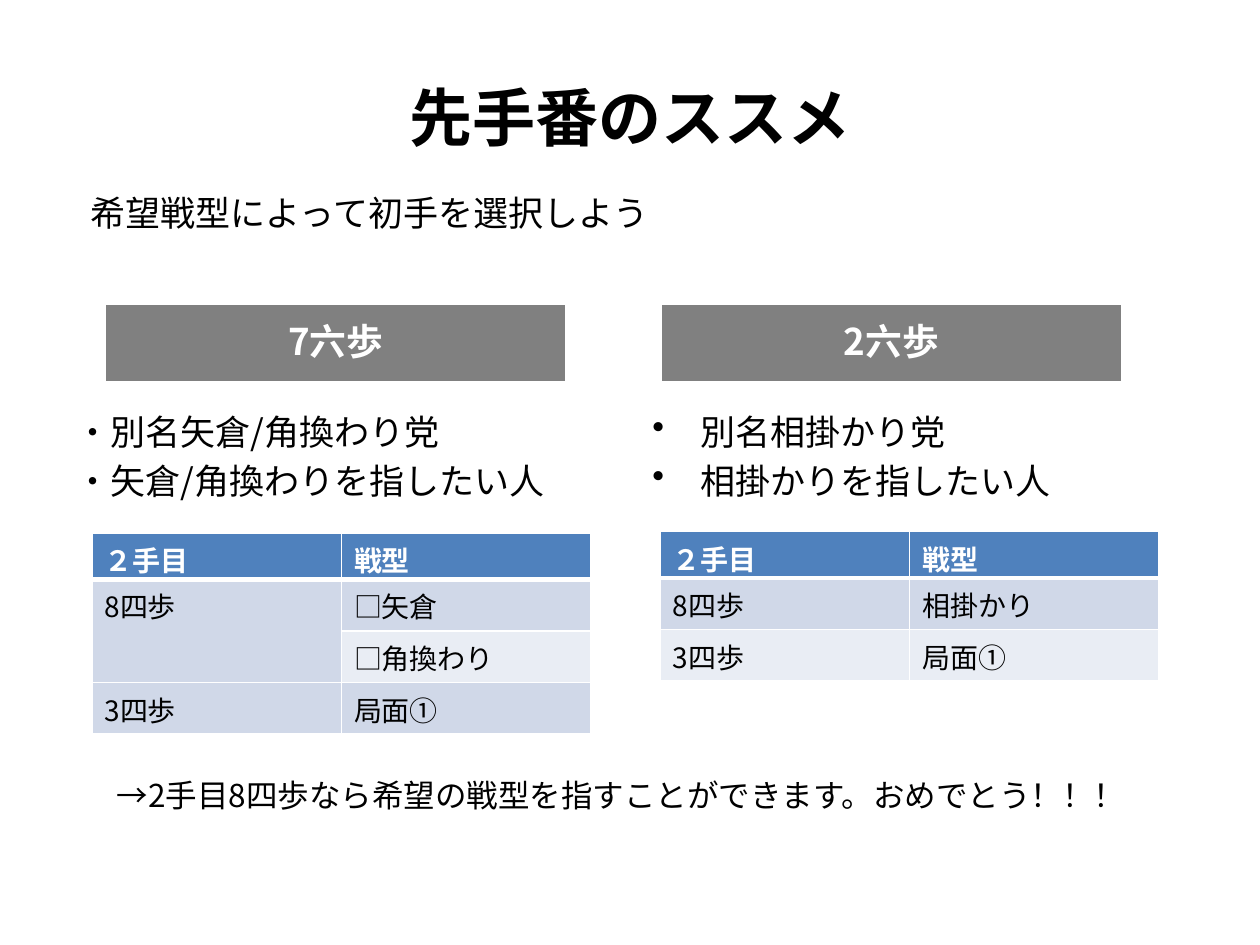
"""Build the slide on choosing an opening move for the first player."""
from lxml.etree import SubElement
from pptx import Presentation
from pptx.dml.color import RGBColor
from pptx.enum.shapes import MSO_SHAPE
from pptx.enum.text import MSO_ANCHOR, PP_ALIGN
from pptx.oxml.ns import qn
from pptx.util import Inches, Pt

FONT = "Noto Sans CJK JP"
COLORS = {
    "text": "000000",
    "white": "FFFFFF",
    "banner": "808080",
    "header": "4F81BD",
    "dark": "D0D8E8",
    "light": "E9EDF4",
}


def write(frame, lines, size, color="text", bold=False, align=PP_ALIGN.LEFT):
    frame.word_wrap = True
    for index, line in enumerate(lines):
        para = frame.add_paragraph() if index else frame.paragraphs[0]
        para.text = line
        para.alignment = align
        para.font.size = Pt(size)
        para.font.bold = bold
        para.font.name = FONT
        para.font.color.rgb = RGBColor.from_string(COLORS[color])
        for latin in para._p.iter(qn("a:latin")):
            SubElement(latin.getparent(), qn("a:ea"), typeface=FONT)


def border(cell, side, width):
    line = SubElement(cell._tc.get_or_add_tcPr(), qn(f"a:{side}"), w=str(Pt(width)))
    fill = SubElement(line, qn("a:solidFill"))
    SubElement(fill, qn("a:srgbClr"), val=COLORS["white"])


deck = Presentation()
deck.slide_width, deck.slide_height = Inches(10), Inches(7.5)
page = deck.slides.add_slide(deck.slide_layouts[5])

title = page.shapes.title
title.left, title.top = Inches(0.5), Inches(0.3)
title.width, title.height = Inches(9), Inches(1.25)
title.text_frame.vertical_anchor = MSO_ANCHOR.MIDDLE
write(title.text_frame, ["先手番のススメ"], 36, bold=True, align=PP_ALIGN.CENTER)

notes = [
    (0.62, 1.47, 8.32, 0.44, 20, "希望戦型によって初手を選択しよう"),
    (0.83, 6.11, 8.98, 0.4, 18,
     "→2手目8四歩なら希望の戦型を指すことができます。おめでとう！！！"),
]
for left, top, width, height, size, line in notes:
    box = page.shapes.add_textbox(Inches(left), Inches(top), Inches(width), Inches(height))
    write(box.text_frame, [line], size)

for left, line in [(0.83, "7六歩"), (5.24, "2六歩")]:
    banner = page.shapes.add_shape(
        MSO_SHAPE.RECTANGLE, Inches(left), Inches(2.41), Inches(3.67), Inches(0.63))
    banner.shadow.inherit = False
    banner.fill.solid()
    banner.fill.fore_color.rgb = RGBColor.from_string(COLORS["banner"])
    banner.line.color.rgb = RGBColor.from_string(COLORS["white"])
    banner.line.width = Pt(2)
    banner.text_frame.vertical_anchor = MSO_ANCHOR.MIDDLE
    write(banner.text_frame, ["7六歩" if left < 5 else line], 21, "white", True, PP_ALIGN.CENTER)
    banner.text_frame.paragraphs[0].line_spacing = 0.9
    banner.text_frame.paragraphs[0].space_after = Pt(7)

features = [
    (0.5, False, ["・別名矢倉/角換わり党", "・矢倉/角換わりを指したい人"]),
    (5.08, True, ["別名相掛かり党", "相掛かりを指したい人"]),
]
for left, bulleted, lines in features:
    box = page.shapes.add_textbox(Inches(left), Inches(3.21), Inches(4.42), Inches(0.9))
    write(box.text_frame, lines, 20)
    for para in box.text_frame.paragraphs:
        para.space_before = Pt(4)
        if bulleted:
            props = para._p.get_or_add_pPr()
            props.set("marL", str(Inches(0.38)))
            props.set("indent", str(Inches(-0.38)))
            bullet = props.makeelement(qn("a:buChar"), {"char": "•"})
            props.find(qn("a:defRPr")).addprevious(bullet)

HEADER = ("２手目", "戦型", "header")
tables = [
    (0.73, 4.23, 1.58, [HEADER, ("8四歩", "□矢倉", "dark"),
                        ("", "□角換わり", "light"), ("3四歩", "局面①", "dark")]),
    (5.24, 4.22, 1.18, [HEADER, ("8四歩", "相掛かり", "dark"), ("3四歩", "局面①", "light")]),
]
for left, top, height, rows in tables:
    frame = page.shapes.add_table(
        len(rows), 2, Inches(left), Inches(top), Inches(3.96), Inches(height))
    table = frame.table
    for row, (move, opening, shade) in enumerate(rows):
        is_header = row == 0
        table.rows[row].height = Inches(0.15 if is_header else 0.41)
        for column, line in enumerate((move, opening)):
            cell = table.cell(row, column)
            for side in ("lnL", "lnR", "lnT", "lnB"):
                thick = (is_header and side == "lnB") or (row == 1 and side == "lnT")
                border(cell, side, 3 if thick else 1)
            cell.fill.solid()
            cell.fill.fore_color.rgb = RGBColor.from_string(COLORS[shade])
            write(cell.text_frame, [line], 16, "white" if is_header else "text", is_header)
        if not move:
            table.cell(row - 1, 0).merge(table.cell(row, 0))
    frame.height = Inches(height)

deck.save("out.pptx")
